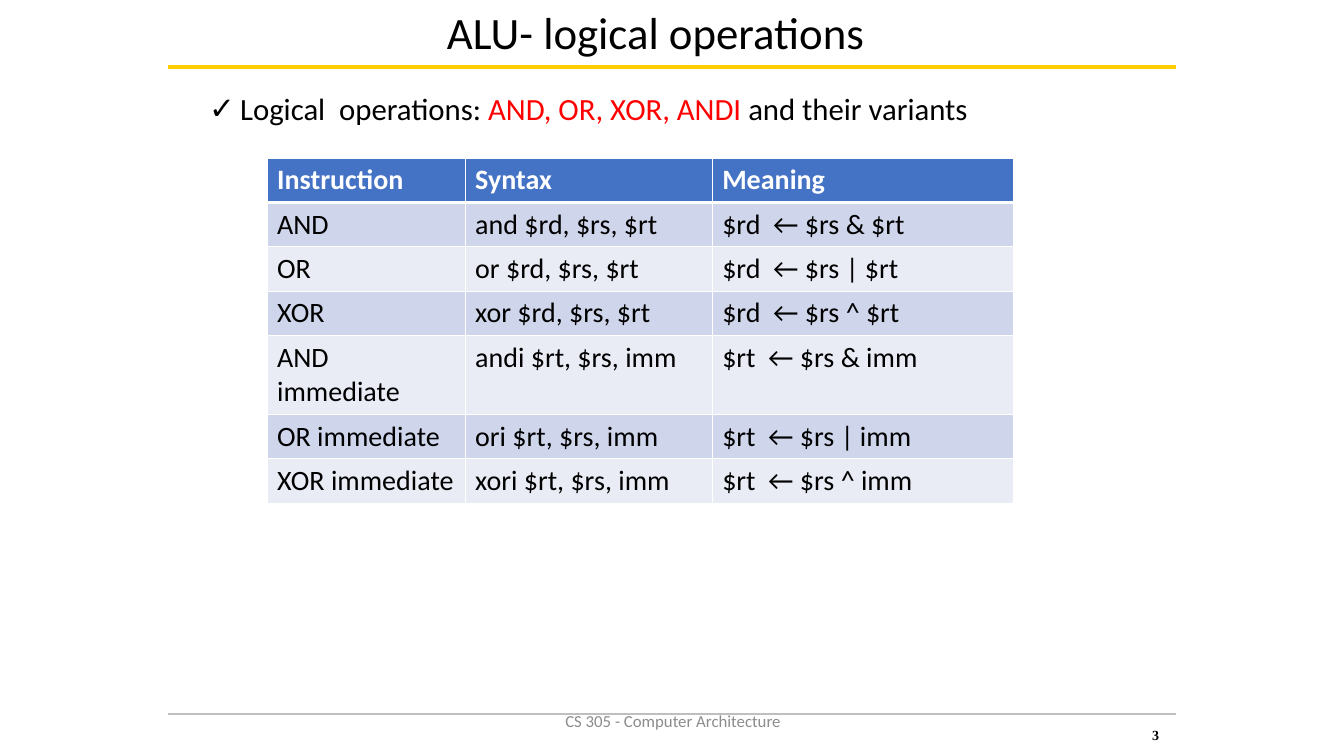
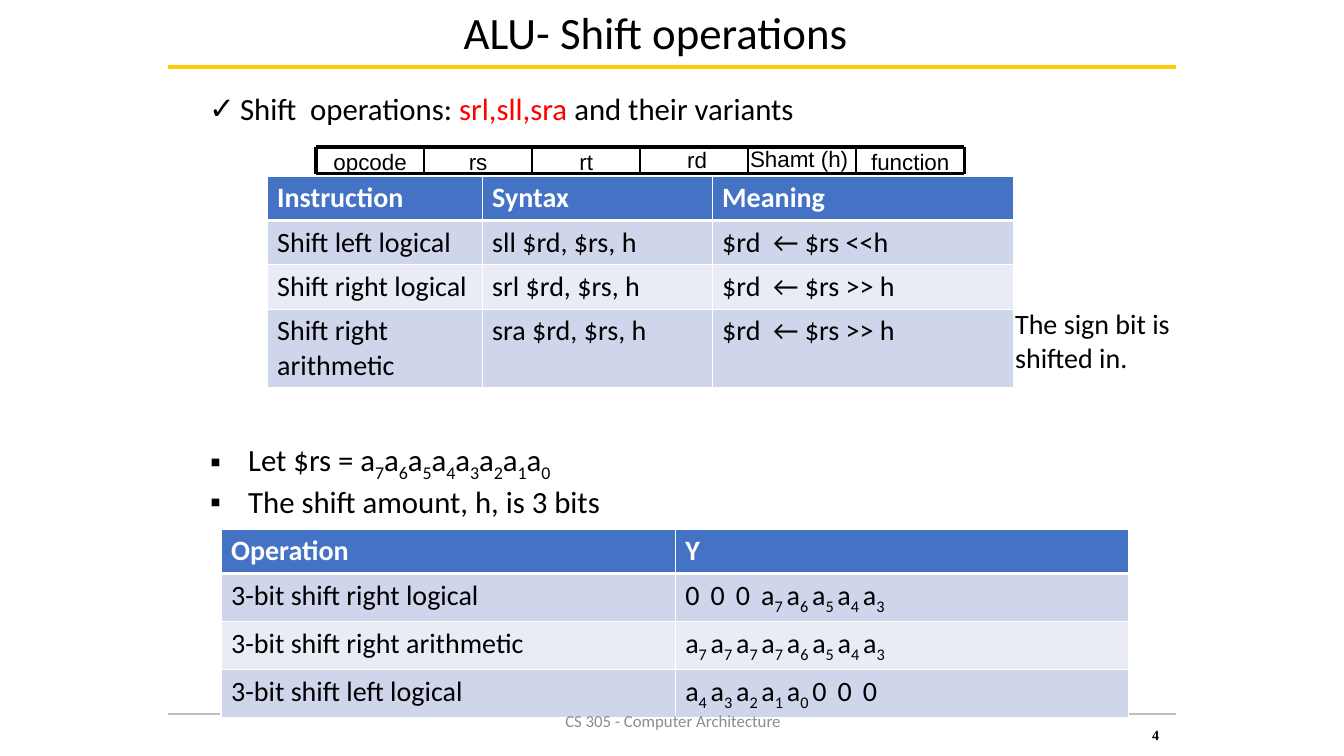
"""Build two lecture slides on the logical and shift operations of an ALU."""
from lxml import etree
from pptx import Presentation
from pptx import util as u
from pptx.dml import color
from pptx.enum import text as t
from pptx.oxml import ns

PX = 914400 / 100.8
BLACK, WHITE, RED = "000000", "FFFFFF", "FF0000"
GOLD, GREY, FAINT = "FFCC00", "BFBFBF", "8C8C8C"
HEAD, BANDS = "4472C4", ("E9EBF5", "CFD5EA")
MID = t.PP_ALIGN.CENTER


def hue(code):
    return color.RGBColor.from_string(code)


def write(frame, text, size=20, font="Calibri", tone=BLACK, bold=False,
          align=t.PP_ALIGN.LEFT, anchor=t.MSO_ANCHOR.TOP, wrap=True,
          left=0, hang=0, mark="", mode="sub"):
    """Write lines of text; parts between tildes are subscript or red."""
    frame.word_wrap = wrap
    frame.auto_size = t.MSO_AUTO_SIZE.NONE
    frame.vertical_anchor = anchor
    for i, line in enumerate(text.split("\n")):
        para = frame.add_paragraph() if i else frame.paragraphs[0]
        para.alignment = align
        para.space_before = u.Pt(0)
        props = para._p.get_or_add_pPr()
        props.set("marL", str(round(left * PX)))
        props.set("indent", str(round(-hang * PX)))
        if mark:
            etree.SubElement(props, ns.qn("a:buFont"), typeface="Arial")
            etree.SubElement(props, ns.qn("a:buChar"), char=mark)
        for j, part in enumerate(line.split("~")):
            if not part:
                continue
            run = para.add_run()
            run.text = part
            face = run.font
            face.name, face.size, face.bold = font, u.Pt(size), bold
            face.color.rgb = hue(RED if j % 2 and mode == "red" else tone)
            if j % 2 and mode == "sub":
                rpr = run._r.get_or_add_rPr()
                rpr.set("baseline", "-25000")
                if part == " ":
                    rpr.set("spc", "530")


bands = [(168, 714, 1176, 714, GREY, 2), (168, 67, 1176, 67, GOLD, 3)]

logic = [("Instruction", "Syntax", "Meaning")]
for name, sign in (("AND", "&"), ("OR", "|"), ("XOR", "^")):
    logic.append((name, f"{name.lower()} $rd, $rs, $rt", f"$rd  ← $rs {sign} $rt"))
for name, sign in (("AND", "&"), ("OR", "|"), ("XOR", "^")):
    logic.append((f"{name} immediate", f"{name.lower()}i $rt, $rs, imm",
                  f"$rt  ← $rs {sign} imm"))

shift = [("Instruction", "Syntax", "Meaning"),
         ("Shift left logical", "sll $rd, $rs, h", "$rd  ← $rs <<h"),
         ("Shift right logical", "srl $rd, $rs, h", "$rd  ← $rs >> h"),
         ("Shift right arithmetic", "sra $rd, $rs, h", "$rd  ← $rs >> h")]

zeros = "0~ ~" * 3
right, sign, low = ("".join(f"a~{n} ~" for n in row)
                    for row in ("76543", "77776543", "43210"))
result = [("Operation", "Y"),
          ("3-bit shift right logical", zeros + right),
          ("3-bit shift right arithmetic", sign),
          ("3-bit shift left logical", low + zeros)]

edge, step, top, base = 316, 108, 147, 174
end = edge + 6 * step
fields = [(edge, y, end, y, BLACK, 2.25) for y in (top, base)]
fields += [(edge + i * step, top, edge + i * step, base, BLACK,
            1 if i % 6 else 2.25) for i in range(7)]
labels = [("opcode", 0, 0), ("rs", 0, 0), ("rt", 0, 0), ("rd", 3, -2),
          ("Shamt (h)", -3, -3), ("function", 0, 0)]
boxes = [((edge + i * step + dx, top + 1 + dy, step, 27), word,
          dict(size=16, font="Arial", align=MID, anchor=t.MSO_ANCHOR.MIDDLE,
               wrap=False))
         for i, (word, dx, dy) in enumerate(labels)]
boxes.append(((1005, 302, 182, 78), "The sign bit is\nshifted in.", {}))

tick = dict(size=22, left=82, hang=31, mark="✓", mode="red")
square = dict(size=22, left=38, hang=38, mark="▪")
lead = (148, 85, 936, 47)
bits = "".join(f"a~{n}~" for n in range(7, -1, -1))
pages = [
    dict(page="3", layout=1, title="ALU- logical operations",
         lists=[(lead, "Logical  operations: ~AND, OR, XOR, ANDI ~and their variants", tick)],
         lines=[], tables=[(267, 158, (198, 247, 301), logic)], boxes=[]),
    dict(page="4", layout=3, title="ALU- Shift operations",
         lists=[(lead, "Shift  operations: ~srl,sll,sra ~and their variants", tick),
                ((200, 436, 889, 85),
                 f"Let $rs = {bits}\nThe shift amount, h, is 3 bits", square)],
         lines=fields,
         tables=[(267, 176, (215, 230, 301), shift),
                 (221, 529, (454, 453), result)],
         boxes=boxes)]

deck = Presentation()
deck.slide_width, deck.slide_height = u.Inches(13.33), u.Inches(7.5)

for page in pages:
    slide = deck.slides.add_slide(deck.slide_layouts[page["layout"]])
    parts = slide.shapes
    heading = ((187, 13, 937, 37), page["title"],
               dict(size=32, align=MID, anchor=t.MSO_ANCHOR.MIDDLE))
    for i, (area, words, form) in enumerate([heading] + page["lists"]):
        holder = slide.placeholders[i]
        holder.left, holder.top, holder.width, holder.height = (
            round(v * PX) for v in area)
        write(holder.text_frame, words, **form)

    for *ends, tone, width in bands + page["lines"]:
        line = parts.add_connector(1, *(round(v * PX) for v in ends))
        line.line.color.rgb = hue(tone)
        line.line.width = u.Pt(width)
        etree.SubElement(line._element.spPr, ns.qn("a:effectLst"))

    for x, y, widths, rows in page["tables"]:
        area = (x, y, sum(widths), 41 * len(rows))
        grid = parts.add_table(len(rows), len(widths),
                               *(round(v * PX) for v in area)).table
        for col, width in zip(grid.columns, widths):
            col.width = round(width * PX)
        for r, row in enumerate(rows):
            for c, words in enumerate(row):
                cell = grid.cell(r, c)
                props = cell._tc.get_or_add_tcPr()
                for side in "LRTB":
                    thick = (r, side) in ((0, "B"), (1, "T"))
                    rule = etree.SubElement(props, ns.qn(f"a:ln{side}"),
                                            w=str(u.Pt(3 if thick else 1)))
                    fill = etree.SubElement(rule, ns.qn("a:solidFill"))
                    etree.SubElement(fill, ns.qn("a:srgbClr"), val=WHITE)
                cell.fill.solid()
                cell.fill.fore_color.rgb = hue(BANDS[r % 2] if r else HEAD)
                write(cell.text_frame, words, bold=not r,
                      tone=BLACK if r else WHITE)

    footer = [((446, 701, 454, 40), "CS 305 - Computer Architecture",
               dict(size=12, tone=FAINT, align=MID, anchor=t.MSO_ANCHOR.MIDDLE)),
              ((1092, 723, 101, 23), page["page"],
               dict(size=10, font="Times New Roman", bold=True, left=50,
                    anchor=t.MSO_ANCHOR.MIDDLE))]
    for area, words, form in page["boxes"] + footer:
        box = parts.add_textbox(*(round(v * PX) for v in area))
        write(box.text_frame, words, **form)

deck.save("out.pptx")
